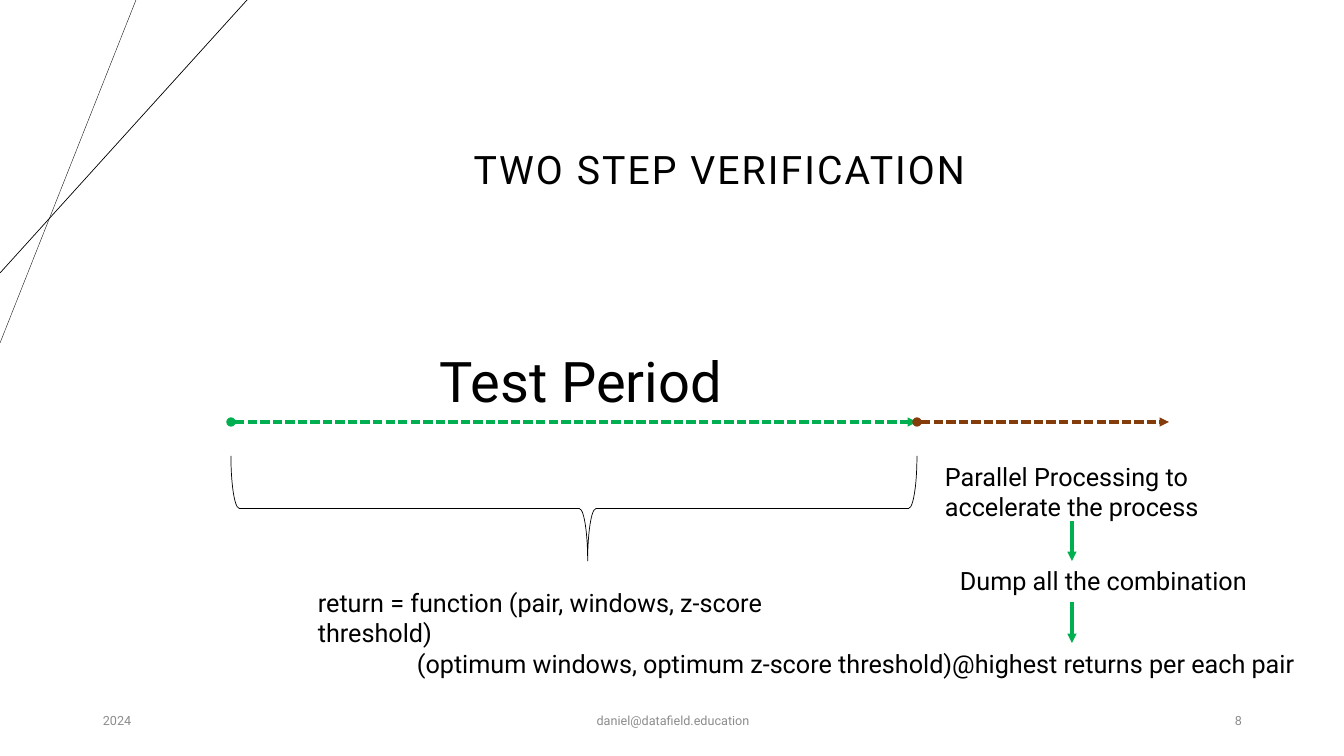
from lxml import etree
from pptx import Presentation
from pptx.dml.color import RGBColor
from pptx.enum.dml import MSO_LINE
from pptx.enum.shapes import MSO_CONNECTOR, MSO_SHAPE
from pptx.enum.text import MSO_ANCHOR, MSO_AUTO_SIZE, PP_ALIGN
from pptx.oxml.ns import qn
from pptx.util import Emu, Pt

LEFT, CENTER, RIGHT = PP_ALIGN.LEFT, PP_ALIGN.CENTER, PP_ALIGN.RIGHT
TOP, MIDDLE = MSO_ANCHOR.TOP, MSO_ANCHOR.MIDDLE
FIXED, GROW = MSO_AUTO_SIZE.NONE, MSO_AUTO_SIZE.SHAPE_TO_FIT_TEXT
STRAIGHT, DASH = MSO_CONNECTOR.STRAIGHT, MSO_LINE.SQUARE_DOT

# Content: places are left, top, width, height in px
COLORS = {"ink": "000000", "footer": "8C8C8C", "test": "00B050", "next": "843C0B"}
FONT = "Roboto"
TITLE = ("TWO STEP VERIFICATION", (208, 99, 1023, 146))
FOOTERS = [
    ("2024", (93, 701, 302, 40), LEFT),
    ("daniel@datafield.education", (446, 701, 454, 40), CENTER),
    ("8", (950, 701, 302, 40), RIGHT),
]
LABELS = [
    ("return = function (pair, windows, z-score threshold)", (308, 582, 581, 40), 18),
    ("(optimum windows, optimum z-score threshold)@highest returns per each pair",
     (407, 643, 936, 40), 18),
    ("Test Period", (430, 342, 613, 78), 40),
    ("Dump all the combination", (950, 560, 331, 40), 18),
    ("Parallel Processing to accelerate the process", (935, 456, 331, 72), 18),
]
CORNER_LINES = [((136, 0), (0, 343), 0.25), ((247, 0), (0, 273), 0.5)]
TIMELINE_Y, TEST_START, TEST_END, NEXT_END = 422, 231, 917, 1169
PERIODS = [(TEST_START, TEST_END, "test"), (TEST_END, NEXT_END, "next")]
STEP_X, STEP_ARROWS = 1072, [(521, 561), (602, 643)]
BRACE_TOP, BRACE_DEPTH = 456, 105

PX = 914400 / 100.8


def px(*lengths):
    return [Emu(round(length * PX)) for length in lengths]


def color(name):
    return RGBColor.from_string(COLORS[name])


def set_all(target, values):
    for name, value in values.items():
        setattr(target, name, value)


def write(box, text, size, ink="ink", align=LEFT, anchor=TOP, fit=GROW, **spacing):
    set_all(box.text_frame, {"word_wrap": True, "auto_size": fit, "vertical_anchor": anchor})
    para = box.text_frame.paragraphs[0]
    set_all(para, {"alignment": align, **spacing})
    span = para.add_run()
    span.text = text
    set_all(span.font, {"name": FONT, "size": Pt(size)})
    span.font.color.rgb = color(ink)
    return span


def draw_line(start, end, width, ink="ink", dash=None, head=None, tail=None):
    line = slide.shapes.add_connector(STRAIGHT, *px(*start, *end))
    set_all(line.line, {"width": Pt(width), "dash_style": dash})
    line.line.color.rgb = color(ink)
    outline = line.line._get_or_add_ln()
    for tag, kind in (("a:headEnd", head), ("a:tailEnd", tail)):
        if kind:
            etree.SubElement(outline, qn(tag), type=kind)
    etree.SubElement(line._element.spPr, qn("a:effectLst"))


deck = Presentation()
deck.slide_width, deck.slide_height = px(1344, 756)
slide = deck.slides.add_slide(deck.slide_layouts[5])

# Corner decoration
for start, end, width in CORNER_LINES:
    draw_line(start, end, width)

# Title
title = slide.shapes.title
text, place = TITLE
set_all(title, dict(zip(("left", "top", "width", "height"), px(*place))))
span = write(title, text, 28, align=CENTER, anchor=MIDDLE, fit=FIXED, line_spacing=0.9)
span.font._element.set("spc", "150")

# Footer row
for text, place, align in FOOTERS:
    box = slide.shapes.add_textbox(*px(*place))
    write(box, text, 9, "footer", align, MIDDLE, FIXED, space_after=Pt(6))

# Timeline
for start, end, ink in PERIODS:
    draw_line((start, TIMELINE_Y), (end, TIMELINE_Y), 2.25, ink, DASH, "oval", "triangle")

# Brace under the test period, turned so that its tip points down
span_width = TEST_END - TEST_START
brace_left = (TEST_START + TEST_END - BRACE_DEPTH) / 2
brace_top = BRACE_TOP + (BRACE_DEPTH - span_width) / 2
brace = slide.shapes.add_shape(
    MSO_SHAPE.LEFT_BRACE, *px(brace_left, brace_top, BRACE_DEPTH, span_width))
brace.rotation = 270
brace.adjustments[0], brace.adjustments[1] = 0.08, 0.52
brace.shadow.inherit = False
brace.fill.background()
brace.line.color.rgb = color("ink")
brace.line.width = Pt(0.5)

# Labels and the arrows between the steps
for text, place, size in LABELS:
    write(slide.shapes.add_textbox(*px(*place)), text, size)
for start, end in STEP_ARROWS:
    draw_line((STEP_X, start), (STEP_X, end), 2.25, "test", tail="triangle")

deck.save("out.pptx")
